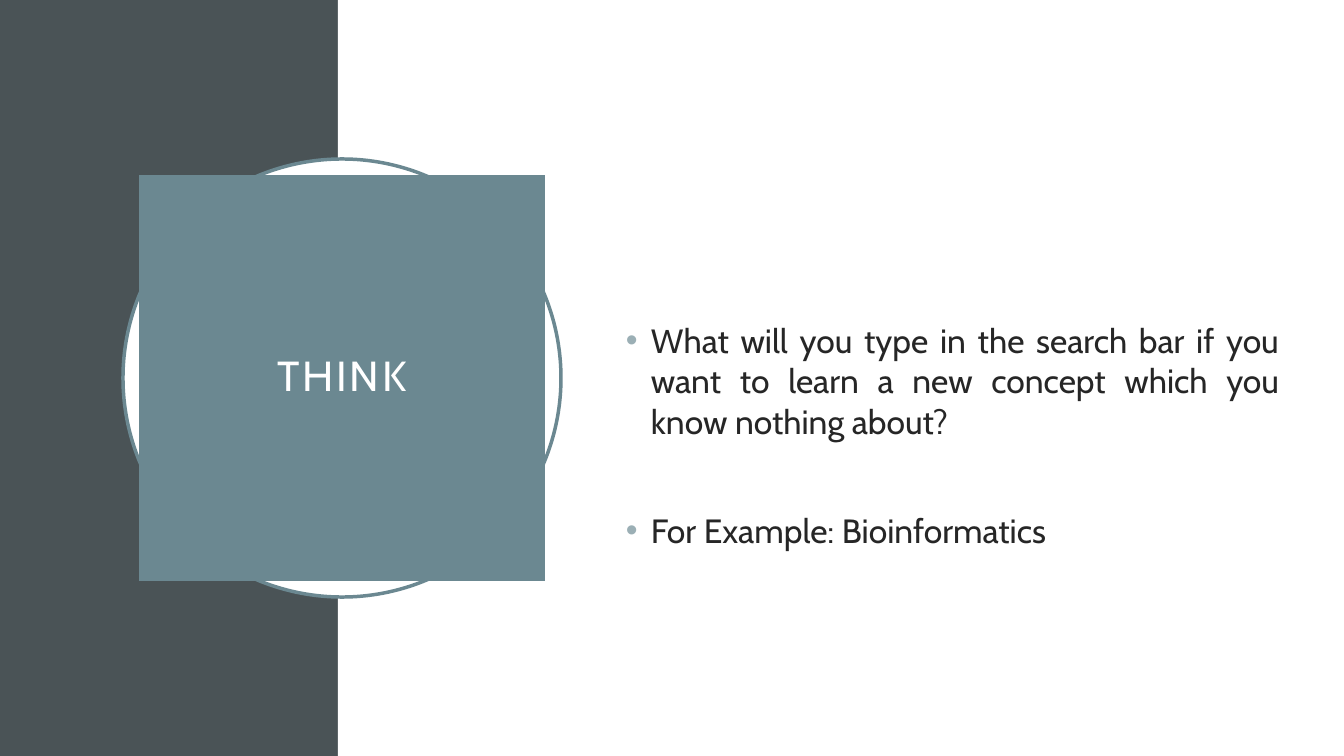
from dataclasses import dataclass
from typing import Optional

from lxml.etree import SubElement
from pptx import Presentation
from pptx.dml.color import RGBColor
from pptx.enum.shapes import MSO_SHAPE
from pptx.enum.text import MSO_ANCHOR, PP_ALIGN
from pptx.oxml.ns import qn
from pptx.util import Emu, Pt

PX_PER_INCH = 100.8
FONT = "Cabin"
COLORS = {
    "slate": "4A5356",
    "teal": "6B8891",
    "white": "FFFFFF",
    "bullet": "9BAFB5",
    "ink": "262626",
}
QUESTIONS = [
    "What will you type in the search bar if you want to learn a new concept "
    "which you know nothing about?",
    "For Example: Bioinformatics",
]


@dataclass
class Panel:
    outline: MSO_SHAPE
    left: int
    top: int
    width: int
    height: int
    fill: str
    border: Optional[str] = None


def px(length: int) -> Emu:
    return Emu(round(length * 914400 / PX_PER_INCH))


def color(name: str) -> RGBColor:
    return RGBColor.from_string(COLORS[name])


def draw_panel(slide, panel: Panel):
    shape = slide.shapes.add_shape(
        panel.outline, px(panel.left), px(panel.top), px(panel.width), px(panel.height)
    )
    shape.shadow.inherit = False
    shape.fill.solid()
    shape.fill.fore_color.rgb = color(panel.fill)
    if panel.border:
        shape.line.color.rgb = color(panel.border)
        shape.line.width = Pt(2.5)
    else:
        shape.line.fill.background()
    return shape


def style_font(font, size: int, name: str) -> None:
    font.name = FONT
    font.size = Pt(size)
    font.color.rgb = color(name)


def add_bullet(paragraph) -> None:
    properties = paragraph._p.get_or_add_pPr()
    indent = px(25)
    properties.set("marL", str(indent))
    properties.set("indent", str(-indent))
    bullet_color = SubElement(properties, qn("a:buClr"))
    SubElement(bullet_color, qn("a:srgbClr"), val=COLORS["bullet"])
    SubElement(properties, qn("a:buFont"), typeface="Arial")
    SubElement(properties, qn("a:buChar"), char="•")


def write_title(title) -> None:
    frame = title.text_frame
    frame.text = "THINK"
    frame.word_wrap = True
    frame.vertical_anchor = MSO_ANCHOR.MIDDLE
    heading = frame.paragraphs[0]
    heading.alignment = PP_ALIGN.CENTER
    heading.line_spacing = 0.9
    run = heading.runs[0]
    style_font(run.font, 30, "white")
    run.font._element.set("spc", "200")


def write_questions(slide) -> None:
    body = slide.shapes.add_textbox(px(616), px(212), px(673), px(446))
    frame = body.text_frame
    frame.word_wrap = True
    frame.vertical_anchor = MSO_ANCHOR.MIDDLE
    frame.text = "\n".join(QUESTIONS)
    for index, question in enumerate(frame.paragraphs):
        question.alignment = PP_ALIGN.JUSTIFY
        if index:
            question.space_before = Pt(49)
        add_bullet(question)
        style_font(question.runs[0].font, 24, "ink")


def main() -> None:
    presentation = Presentation()
    presentation.slide_width = px(1344)
    presentation.slide_height = px(756)
    slide = presentation.slides.add_slide(presentation.slide_layouts[6])

    # Background halves and the ring behind the title
    backdrop = [
        Panel(MSO_SHAPE.RECTANGLE, 0, 0, 338, 756, "slate"),
        Panel(MSO_SHAPE.RECTANGLE, 338, 0, 1006, 756, "white"),
        Panel(MSO_SHAPE.OVAL, 123, 159, 438, 438, "white", "teal"),
    ]
    for panel in backdrop:
        draw_panel(slide, panel)

    # Title square
    title = draw_panel(slide, Panel(MSO_SHAPE.RECTANGLE, 139, 175, 406, 406, "teal"))
    write_title(title)

    # Bulleted questions
    write_questions(slide)

    presentation.save("out.pptx")


if __name__ == "__main__":
    main()
